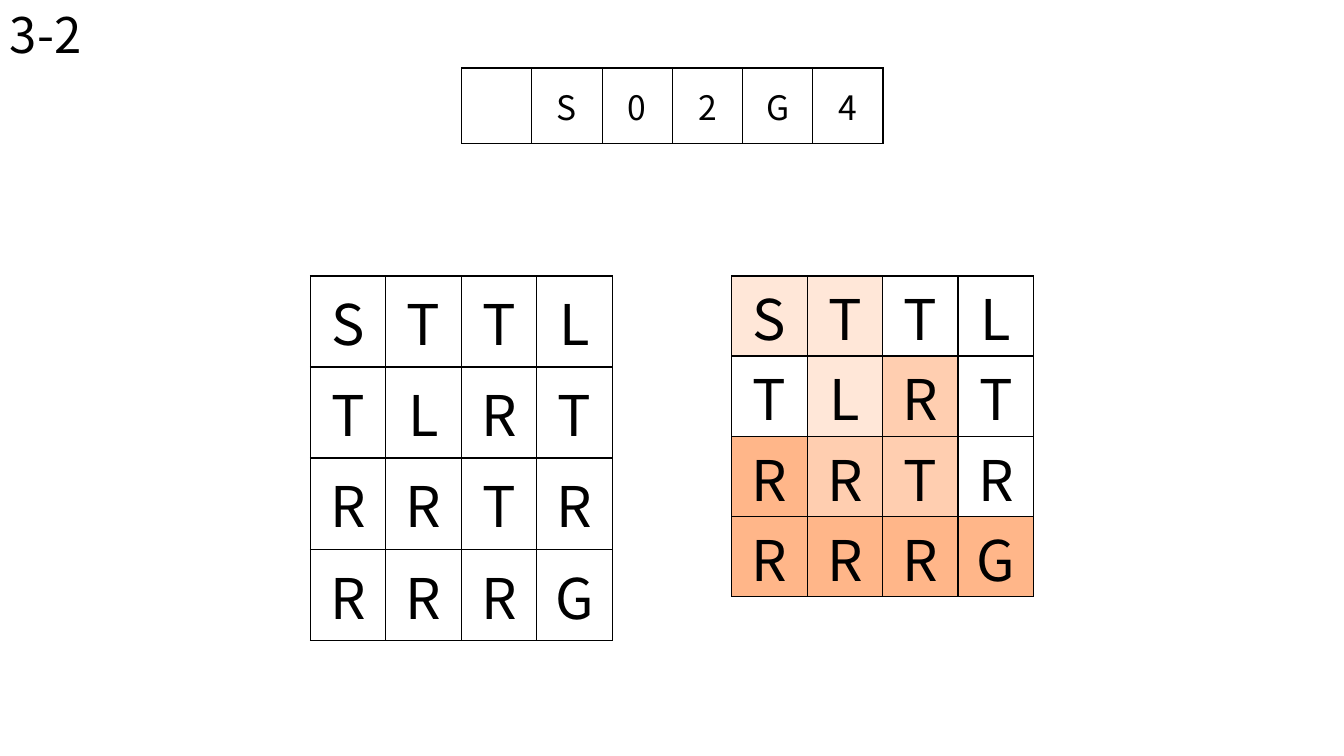
from dataclasses import dataclass

from lxml import etree
from pptx import Presentation
from pptx.dml.color import RGBColor
from pptx.enum.text import MSO_ANCHOR, MSO_AUTO_SIZE, PP_ALIGN
from pptx.oxml.ns import qn
from pptx.util import Inches, Pt

CENTER = PP_ALIGN.CENTER
TOP = MSO_ANCHOR.TOP
MIDDLE = MSO_ANCHOR.MIDDLE
FIT_SHAPE = MSO_AUTO_SIZE.SHAPE_TO_FIT_TEXT

SLIDE_WIDTH = Inches(13.33)
SLIDE_HEIGHT = Inches(7.5)
COLUMN = SLIDE_WIDTH / 100
ROW = SLIDE_HEIGHT / 100
BLANK_LAYOUT = 6


@dataclass(frozen=True)
class Theme:
    font: str = "Noto Sans CJK KR"
    ink: str = "000000"
    title_size: int = 35
    sequence_size: int = 24
    letter_size: int = 40
    border_width: int = 1


THEME = Theme()
SHADES = {"1": "FFE7D8", "2": "FFCEB0", "3": "FFB689"}
SEQUENCE = [["", *"S02G4"]]
LETTERS = ["STTL", "TLRT", "RRTR", "RRRG"]
LETTER_SHADES = ["11..", ".12.", "322.", "3333"]


def grid_box(left, top, width, height):
    return (round(left * COLUMN), round(top * ROW),
            round(width * COLUMN), round(height * ROW))


def style_paragraph(paragraph, size):
    paragraph.font.name = THEME.font
    paragraph.font.size = Pt(size)
    paragraph.font.color.rgb = RGBColor.from_string(THEME.ink)


def add_borders(cell):
    properties = cell._tc.get_or_add_tcPr()
    for side in ("lnL", "lnR", "lnT", "lnB"):
        line = etree.SubElement(properties, qn(f"a:{side}"), w=str(Pt(THEME.border_width)))
        fill = etree.SubElement(line, qn("a:solidFill"))
        etree.SubElement(fill, qn("a:srgbClr"), val=THEME.ink)


def fill_cell(cell, text, size, anchor, shade):
    add_borders(cell)
    cell.vertical_anchor = anchor
    if shade:
        cell.fill.solid()
        cell.fill.fore_color.rgb = RGBColor.from_string(shade)
    else:
        cell.fill.background()
    paragraph = cell.text_frame.paragraphs[0]
    paragraph.alignment = CENTER
    style_paragraph(paragraph, size)
    if text:
        paragraph.add_run().text = text


def add_letter_table(slide, box, rows, size, anchor=TOP, shades=None, margin=Inches(0.05)):
    table = slide.shapes.add_table(len(rows), len(rows[0]), *box).table
    table.first_row = False
    table.horz_banding = False
    for row_index, row in enumerate(rows):
        for column_index, text in enumerate(row):
            cell = table.cell(row_index, column_index)
            cell.margin_top = cell.margin_bottom = margin
            mark = shades[row_index][column_index] if shades else None
            fill_cell(cell, text, size, anchor, SHADES.get(mark))


def add_title(slide, box, text):
    frame = slide.shapes.add_textbox(*box).text_frame
    frame.word_wrap = True
    frame.auto_size = FIT_SHAPE
    paragraph = frame.paragraphs[0]
    style_paragraph(paragraph, THEME.title_size)
    paragraph.add_run().text = text


def main():
    presentation = Presentation()
    presentation.slide_width = SLIDE_WIDTH
    presentation.slide_height = SLIDE_HEIGHT
    slide = presentation.slides.add_slide(presentation.slide_layouts[BLANK_LAYOUT])
    add_letter_table(slide, grid_box(34.35, 9, 31.36, 10), SEQUENCE,
                     THEME.sequence_size, MIDDLE)
    add_letter_table(slide, grid_box(23.1, 36.5, 22.45, 42.4), LETTERS, THEME.letter_size)
    add_title(slide, grid_box(0, 0, 7.35, 9), "3-2")
    add_letter_table(slide, grid_box(54.45, 36.5, 22.45, 42.4), LETTERS,
                     THEME.letter_size, shades=LETTER_SHADES, margin=0)
    presentation.save("out.pptx")


if __name__ == "__main__":
    main()
